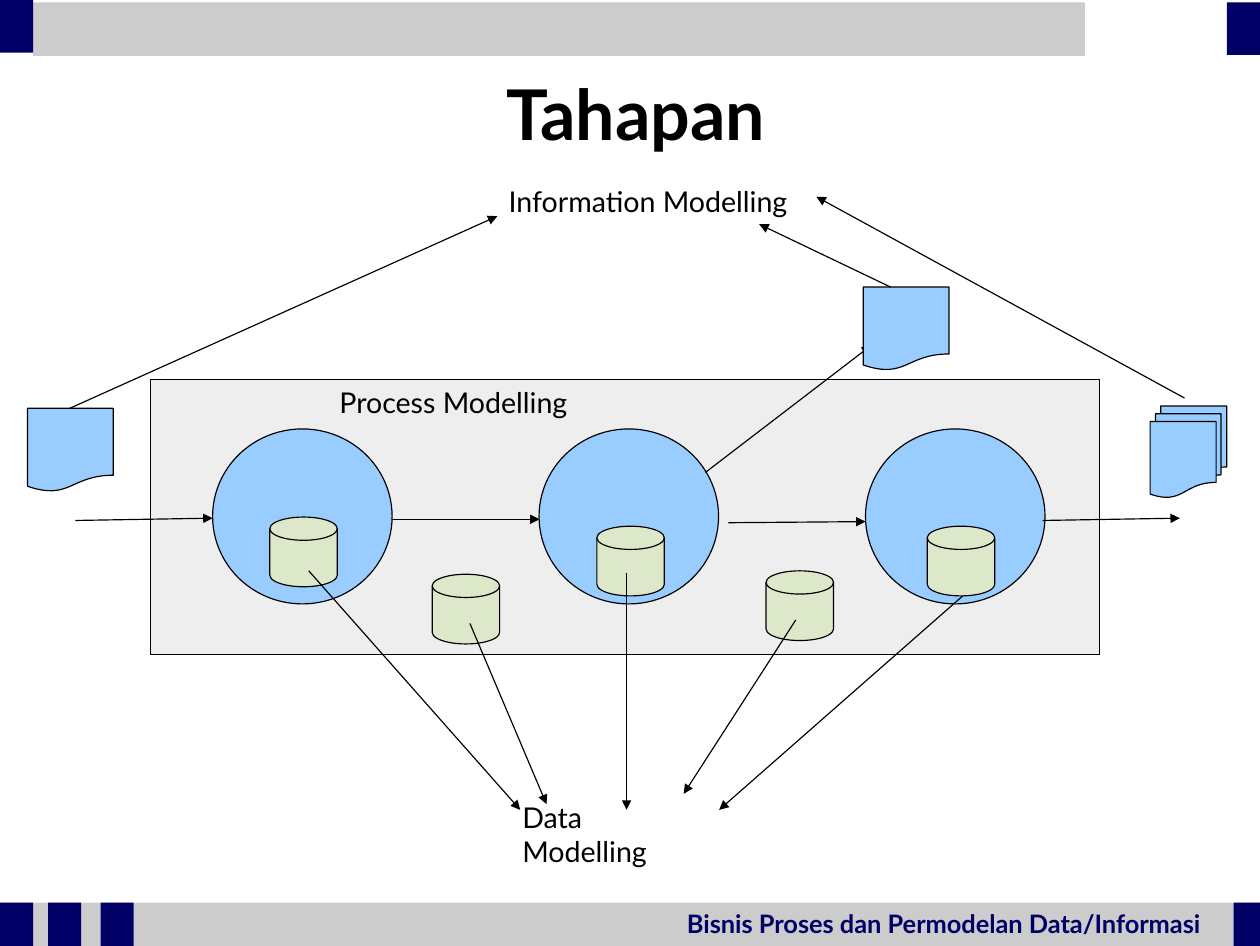
from dataclasses import dataclass

from lxml import etree
from pptx import Presentation
from pptx.dml.color import RGBColor
from pptx.enum.shapes import MSO_CONNECTOR as Connector, MSO_SHAPE as Shape
from pptx.enum.text import MSO_ANCHOR as Anchor, PP_ALIGN as Align
from pptx.oxml.ns import qn
from pptx.util import Inches, Pt

BLACK = RGBColor(0x00, 0x00, 0x00)
NAVY = RGBColor(0x00, 0x00, 0x66)
BAR_GRAY = RGBColor(0xCC, 0xCC, 0xCC)
PANEL_GRAY = RGBColor(0xEE, 0xEE, 0xEE)
SKY = RGBColor(0x99, 0xCC, 0xFF)
GREEN = RGBColor(0xDD, 0xE8, 0xCB)


@dataclass
class Box:
    """A region in inches; its parts are placed from its top left corner."""
    left: float
    top: float
    width: float
    height: float

    def at(self, x, y):
        return Inches(self.left + x), Inches(self.top + y)


def write_text(frame, text, size=18, color=BLACK, bold=False,
               align=Align.LEFT, anchor=Anchor.TOP, inset=(0.1, 0.05)):
    frame.word_wrap = True
    frame.vertical_anchor = anchor
    frame.margin_left = frame.margin_right = Inches(inset[0])
    frame.margin_top = frame.margin_bottom = Inches(inset[1])
    frame.text = text
    paragraph = frame.paragraphs[0]
    paragraph.alignment = align
    font = paragraph.font
    font.name, font.size, font.bold = "Lato", Pt(size), bold
    font.color.rgb = color


def add_label(slide, box, x, y, width, text, **text_format):
    label = slide.shapes.add_textbox(*box.at(x, y), Inches(width), Inches(0.4))
    write_text(label.text_frame, text, **text_format)


def add_part(slide, box, kind, x, y, width, height, fill, outlined=True):
    part = slide.shapes.add_shape(
        kind, *box.at(x, y), Inches(width), Inches(height))
    part.shadow.inherit = False
    part.fill.solid()
    part.fill.fore_color.rgb = fill
    if outlined:
        part.line.color.rgb = BLACK
        part.line.width = Pt(0.75)
    else:
        part.line.fill.background()


def add_arrow(slide, box, start, end):
    arrow = slide.shapes.add_connector(
        Connector.STRAIGHT, *box.at(*start), *box.at(*end))
    arrow.line.color.rgb = BLACK
    arrow.line.width = Pt(0.75)
    properties = arrow.element.spPr
    etree.SubElement(properties.find(qn("a:ln")), qn("a:tailEnd"),
                     type="triangle")
    etree.SubElement(properties, qn("a:effectLst"))


def draw_header(slide, box):
    add_part(slide, box, Shape.RECTANGLE, 0.29, 0.02, 9.2, 0.47,
             BAR_GRAY, outlined=False)
    for x, y in ((0, 0), (box.width - 0.29, 0.02)):
        add_part(slide, box, Shape.RECTANGLE, x, y, 0.29, 0.46,
                 NAVY, outlined=False)


def draw_footer(slide, box):
    add_part(slide, box, Shape.RECTANGLE, 0, 0, box.width, box.height,
             BAR_GRAY, outlined=False)
    for x, width in ((0, 0.29), (0.42, 0.29), (0.88, 0.29), (10.79, 0.23)):
        add_part(slide, box, Shape.RECTANGLE, x, 0, width, box.height,
                 NAVY, outlined=False)
    add_label(slide, box, 5.91, 0, 4.72,
              "Bisnis Proses dan Permodelan Data/Informasi",
              size=16, color=NAVY, bold=True)


def draw_title(slide, box):
    title = slide.shapes.title
    title.left, title.top = box.at(0, 0)
    title.width, title.height = Inches(box.width), Inches(box.height)
    write_text(title.text_frame, "Tahapan", size=44, bold=True,
               align=Align.CENTER, anchor=Anchor.MIDDLE, inset=(0, 0))


def draw_process_model(slide, box):
    add_part(slide, box, Shape.RECTANGLE, 0, 0, box.width, box.height,
             PANEL_GRAY)
    add_label(slide, box, 1.55, 0, 2.2, "Process Modelling")
    # Processes
    for step in range(3):
        add_part(slide, box, Shape.OVAL, 0.54 + 2.855 * step, 0.43,
                 1.57, 1.53, SKY)
    # Flow from input to output
    for start, end in (((-0.66, 1.23), (0.54, 1.21)),
                       ((2.11, 1.22), (3.4, 1.22)),
                       ((5.05, 1.25), (6.25, 1.24)),
                       ((7.8, 1.23), (9, 1.21))):
        add_arrow(slide, box, start, end)
    # Data stores
    for x, y in ((1.04, 1.2), (2.46, 1.7), (3.9, 1.28),
                 (5.38, 1.67), (6.79, 1.28)):
        add_part(slide, box, Shape.FLOWCHART_MAGNETIC_DISK, x, y,
                 0.59, 0.61, GREEN)


def draw_information_model(slide, box):
    add_label(slide, box, 4.11, 0, 2.65, "Information Modelling")
    # The process arrow ends behind the middle document
    add_arrow(slide, box, (5.93, 2.57), (7.38, 1.46))
    for x, y in ((0, 2.01), (7.31, 0.95)):
        add_part(slide, box, Shape.FLOWCHART_DOCUMENT, x, y, 0.75, 0.73, SKY)
    add_part(slide, box, Shape.FLOWCHART_MULTIDOCUMENT, 9.82, 1.99,
             0.67, 0.8, SKY)
    # Documents to the label
    for start, end in (((0.37, 2.01), (4.11, 0.33)),
                       ((7.55, 0.95), (6.4, 0.4)),
                       ((10.12, 1.92), (6.9, 0.16))):
        add_arrow(slide, box, start, end)


def draw_data_model(slide, box):
    add_label(slide, box, 1.77, 1.95, 1.93, "Data\vModelling")
    # Data stores to the label
    for start, end in (((0, 0), (1.85, 2.09)),
                       ((1.41, 0.46), (2.08, 2.04)),
                       ((2.78, 0.02), (2.78, 2.09)),
                       ((4.26, 0.43), (3.28, 1.95)),
                       ((5.72, 0.22), (3.59, 2.09))):
        add_arrow(slide, box, start, end)


def main():
    deck = Presentation()
    deck.slide_width, deck.slide_height = Inches(11.02), Inches(8.27)
    slide = deck.slides.add_slide(deck.slide_layouts[5])

    draw_footer(slide, Box(0, 7.89, 11.02, 0.38))
    draw_header(slide, Box(0, 0, 11.02, 0.49))
    draw_title(slide, Box(0.52, 0.56, 10.08, 0.84))
    draw_process_model(slide, Box(1.32, 3.32, 8.3, 2.4))
    draw_information_model(slide, Box(0.24, 1.56, 10.49, 2.79))
    draw_data_model(slide, Box(2.7, 4.99, 5.72, 2.35))

    deck.save("out.pptx")


if __name__ == "__main__":
    main()
